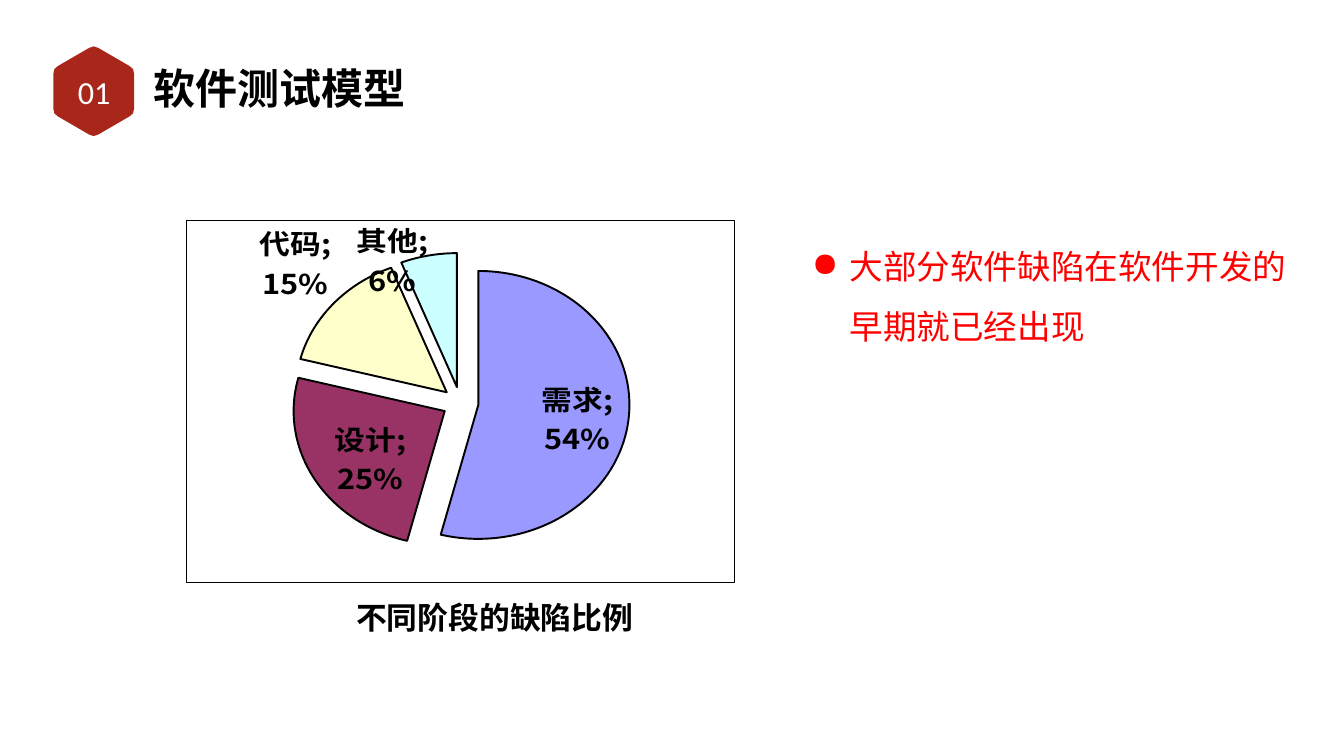
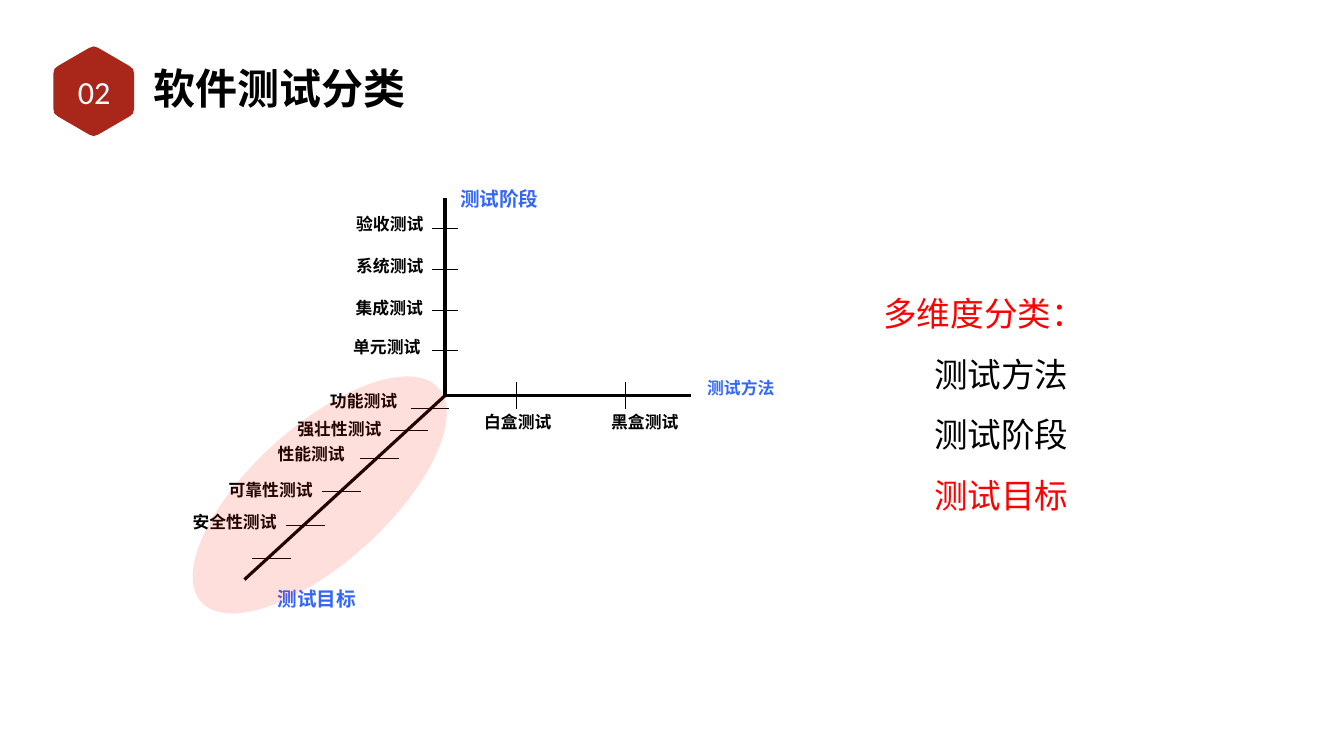
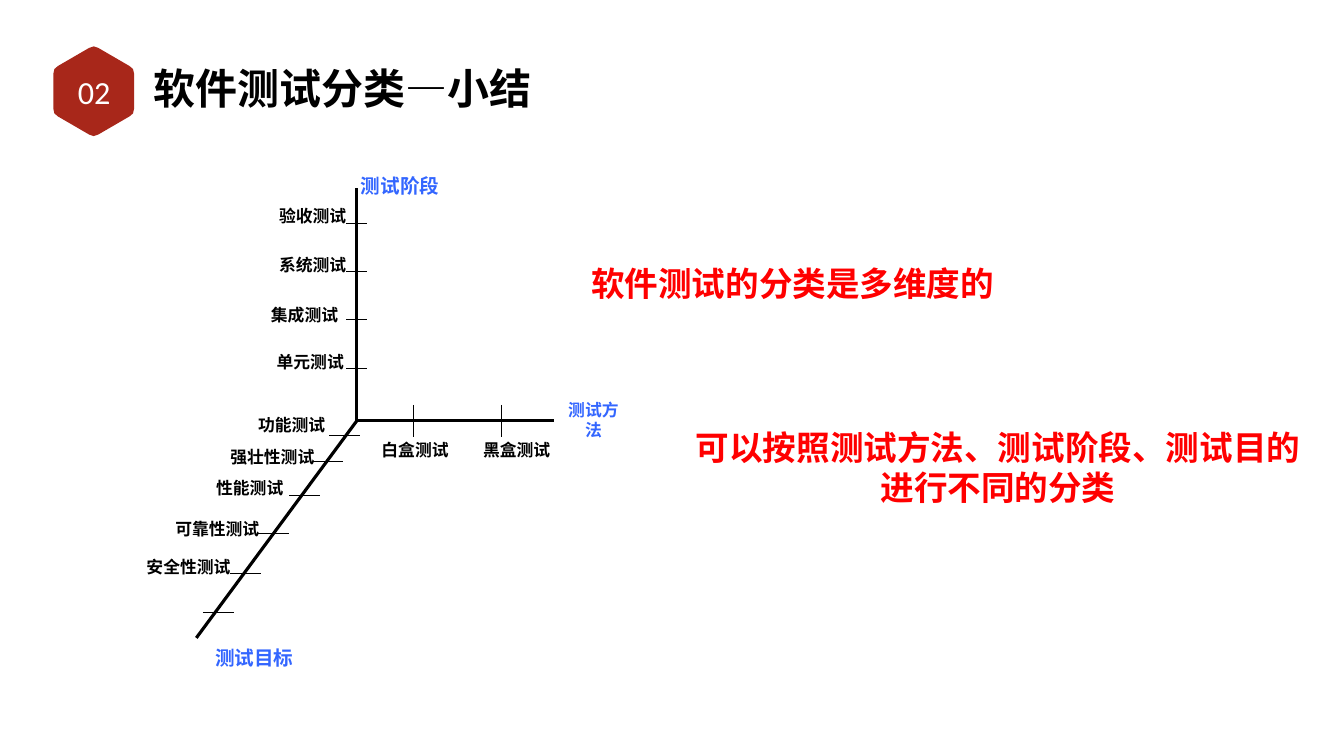
from lxml import etree
from pptx import Presentation
from pptx.chart.data import CategoryChartData as Data
from pptx.dml.color import RGBColor
from pptx.enum.chart import XL_CHART_TYPE as Kind, XL_LABEL_POSITION as Spot
from pptx.enum.shapes import MSO_CONNECTOR as Conn, MSO_SHAPE as Form
from pptx.enum.text import MSO_ANCHOR as Anchor, PP_ALIGN as Align
from pptx.oxml import parse_xml
from pptx.oxml.ns import nsdecls, qn
from pptx.util import Pt

PX = 9144  # 100 px to the inch
CJK = "Noto Sans CJK SC"
BLACK, WHITE, RED, BLUE, BRICK = "000000", "FFFFFF", "FF0000", "3366FF", "A8271A"
hue = RGBColor.from_string


def text(slide, box, words, size, color=BLACK, bold=True, align=Align.LEFT,
         font=CJK, pad=None, space=None):
    frame = slide.shapes.add_textbox(*[round(n * PX) for n in box]).text_frame
    frame.word_wrap = True
    if pad is not None:
        frame.vertical_anchor = Anchor.MIDDLE
        frame.margin_left = frame.margin_right = pad * PX
        frame.margin_top = frame.margin_bottom = pad * PX
    frame.text = words
    for par in frame.paragraphs:
        par.alignment = align
        par.line_spacing = space
        for run in par.runs:
            run.font.size, run.font.bold, run.font.name = Pt(size), bold, font
            run.font.color.rgb = hue(color)
            etree.SubElement(run.font._element, qn("a:ea"), typeface=font)
    return frame.paragraphs


def line(slide, ends, width):
    rule = slide.shapes.add_connector(Conn.STRAIGHT, *[round(n * PX) for n in ends])
    rule.line.color.rgb = hue(BLACK)
    rule.line.width = Pt(width)
    etree.SubElement(rule._element.spPr, qn("a:effectLst"))


deck = Presentation()
deck.slide_width, deck.slide_height = 2667 * PX, 1500 * PX

# Shared header: rounded hexagon, number and title
quarter = [(0, 89), (-9, 86), (-71, 50), (-78, 44), (-80, 35)]
left = quarter + [(x, -y) for x, y in reversed(quarter)]
badge = [(186 + x, 181 + y) for x, y in left + [(-x, -y) for x, y in left]]
heads = [("01", "软件测试模型"), ("02", "软件测试分类"), ("02", "软件测试分类—小结")]
slides = []
for num, title in heads:
    slide = deck.slides.add_slide(deck.slide_layouts[6])
    path = slide.shapes.build_freeform(*badge[0], scale=PX)
    path.add_line_segments(badge[1:])
    hexagon = path.convert_to_shape()
    hexagon.shadow.inherit = False
    hexagon.fill.solid()
    hexagon.fill.fore_color.rgb = hue(BRICK)
    hexagon.line.fill.background()
    text(slide, (299, 118, 900, 114), title, 60, pad=6)
    text(slide, (100, 129, 174, 105), num, 46, WHITE, False, Align.CENTER, "Calibri", 5)
    slides.append(slide)
model, types, recap = slides

# Slide 1: pie of defects by phase
data = Data(number_format="0%")
data.categories = ["需求", "设计", "代码", "其他"]
data.add_series("Series 1", [0.54, 0.25, 0.15, 0.06])
chart = model.shapes.add_chart(
    Kind.PIE, 370 * PX, 345 * PX, 1087 * PX, 810 * PX, data).chart
chart.has_title = chart.has_legend = False
chart.plots[0].vary_by_categories = True
pie = chart.plots[0].series[0]
pie.format.line.color.rgb = hue(BLACK)
pie.format.line.width = Pt(2.75)
pie._element.spPr.addnext(parse_xml(f'<c:explosion {nsdecls("c")} val="12"/>'))
for i, color in enumerate(["9999FF", "993366", "FFFFCC", "CCFFFF"]):
    slice_ = pie.points[i].format
    slice_.fill.solid()
    slice_.fill.fore_color.rgb = hue(color)
    slice_.line.color.rgb = hue(BLACK)
    slice_.line.width = Pt(2.75)

tags = pie.data_labels
tags.show_value = tags.show_category_name = True
tags.show_percentage = False
tags.number_format, tags.number_format_is_linked = "0%", False
tags.position = Spot.BEST_FIT
for font in (chart.font, tags.font):
    font.size, font.bold, font.name = Pt(44), True, CJK
    font.color.rgb = hue(BLACK)
tags._element.find(qn("c:showBubbleSize")).addnext(
    parse_xml(f'<c:separator {nsdecls("c")}>; </c:separator>'))

# Plot place, white ground and thin frame
root = chart._chartSpace
area = root.find(".//" + qn("c:plotArea"))
for old in area.findall(qn("c:layout")):
    area.remove(old)
area.insert(0, parse_xml(
    f'<c:layout {nsdecls("c")}><c:manualLayout><c:layoutTarget val="inner"/>'
    '<c:xMode val="edge"/><c:yMode val="edge"/><c:x val="0.18"/><c:y val="0.09"/>'
    '<c:w val="0.64"/><c:h val="0.83"/></c:manualLayout></c:layout>'))
root.find(qn("c:chart")).addnext(parse_xml(
    f'<c:spPr {nsdecls("c", "a")}><a:solidFill><a:srgbClr val="{WHITE}"/></a:solidFill>'
    f'<a:ln w="{Pt(0.69)}"><a:solidFill><a:srgbClr val="{BLACK}"/></a:solidFill></a:ln>'
    '</c:spPr>'))

text(model, (697, 1183, 576, 84), "不同阶段的缺陷比例", 44)
point = text(model, (1601, 443, 988, 238), "大部分软件缺陷在软件开发的早期就已经出现",
             48, RED, False, space=1.5)[0]
props = point._p.get_or_add_pPr()
props.set("marL", str(75 * PX))
props.set("indent", str(-75 * PX))
etree.SubElement(props, qn("a:buChar"), char="●")

# Slides 2 and 3: the same three axes at two scales
CX, CY = 883, 785
axes = [(CX, CY, CX, 393), (CX, CY, 485, 1150), (CX, CY, 1372, CY)]
ticks = [(857, y, 908, y) for y in range(453, 697, 81)]
ticks += [(x, 758, x, 812) for x in (1024, 1241)]
ticks += [(x, y, x + 77, y) for x, y in [
    (815, 810), (773, 853), (715, 910), (639, 974), (568, 1042), (501, 1107)]]
names = [
    ("测试阶段", 784, 366, 413, 28, BLUE),
    ("测试方法", 1383, 745, 174, 24, BLUE),
    ("测试目标", 407, 1159, 443, 28, BLUE),
    ("验收测试", 671, 419, 205, 24, BLACK),
    ("系统测试", 665, 502, 217, 24, BLACK),
    ("集成测试", 611, 585, 238, 24, BLACK),
    ("单元测试", 665, 664, 205, 24, BLACK),
    ("功能测试", 620, 774, 203, 24, BLACK),
    ("强壮性测试", 541, 825, 265, 24, BLACK),
    ("性能测试", 515, 876, 205, 24, BLACK),
    ("可靠性测试", 412, 946, 250, 24, BLACK),
    ("安全性测试", 338, 1010, 255, 24, BLACK),
    ("白盒测试", 912, 812, 231, 24, BLACK),
    ("黑盒测试", 1164, 812, 231, 24, BLACK),
]
for slide, ox, oy, sx, sy in [(types, CX, CY, 1, 1), (recap, 708, 835, 0.8, 1.18)]:
    for group, width in ((axes, 4.5), (ticks, 1)):
        for x1, y1, x2, y2 in group:
            line(slide, (ox + (x1 - CX) * sx, oy + (y1 - CY) * sy,
                         ox + (x2 - CX) * sx, oy + (y2 - CY) * sy), width)
    for name, x, y, w, size, color in names:
        side = Align.RIGHT if name == "集成测试" else Align.CENTER
        space = 0.9 if name == "功能测试" else None
        box = (ox + (x - CX) * sx, oy + (y - CY) * sy, w * sx, 2 * size * sy)
        text(slide, box, name, size, color, align=side, space=space)

# Slide 2: tinted ellipse over the goal axis
halo = types.shapes.add_shape(Form.OVAL, 499 * PX, 665 * PX, 271 * PX, 634 * PX)
halo.rotation = 47.9
halo.shadow.inherit = False
halo.fill.solid()
halo.fill.fore_color.rgb = hue("FA1F00")
halo.line.fill.background()
tint = halo._element.spPr.find(".//" + qn("a:srgbClr"))
etree.SubElement(tint, qn("a:alpha"), val="14000")

# Slide 2: list of dimensions
items = text(types, (1743, 537, 614, 495), "多维度分类：\n测试方法\n测试阶段\n测试目标",
             48, RED, False, space=1.5)
for item in items[1:]:
    item._p.get_or_add_pPr().set("marL", str(101 * PX))
for item in items[1:3]:
    item.runs[0].font.color.rgb = hue(BLACK)

# Slide 3: summary
text(recap, (1056, 516, 1034, 91), "软件测试的分类是多维度的", 48, RED, align=Align.CENTER)
text(recap, (1356, 842, 1249, 172), "可以按照测试方法、测试阶段、测试目的进行不同的分类",
     48, RED, align=Align.CENTER)

deck.save("out.pptx")
